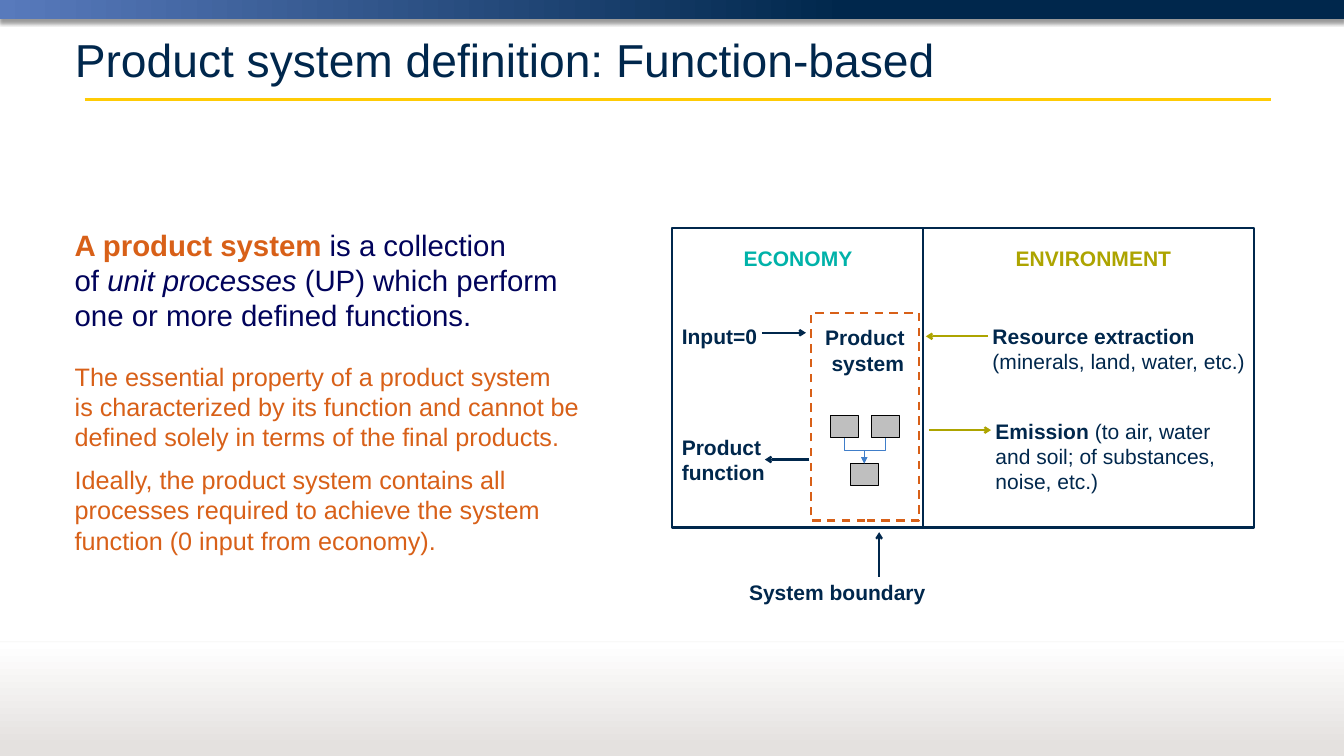
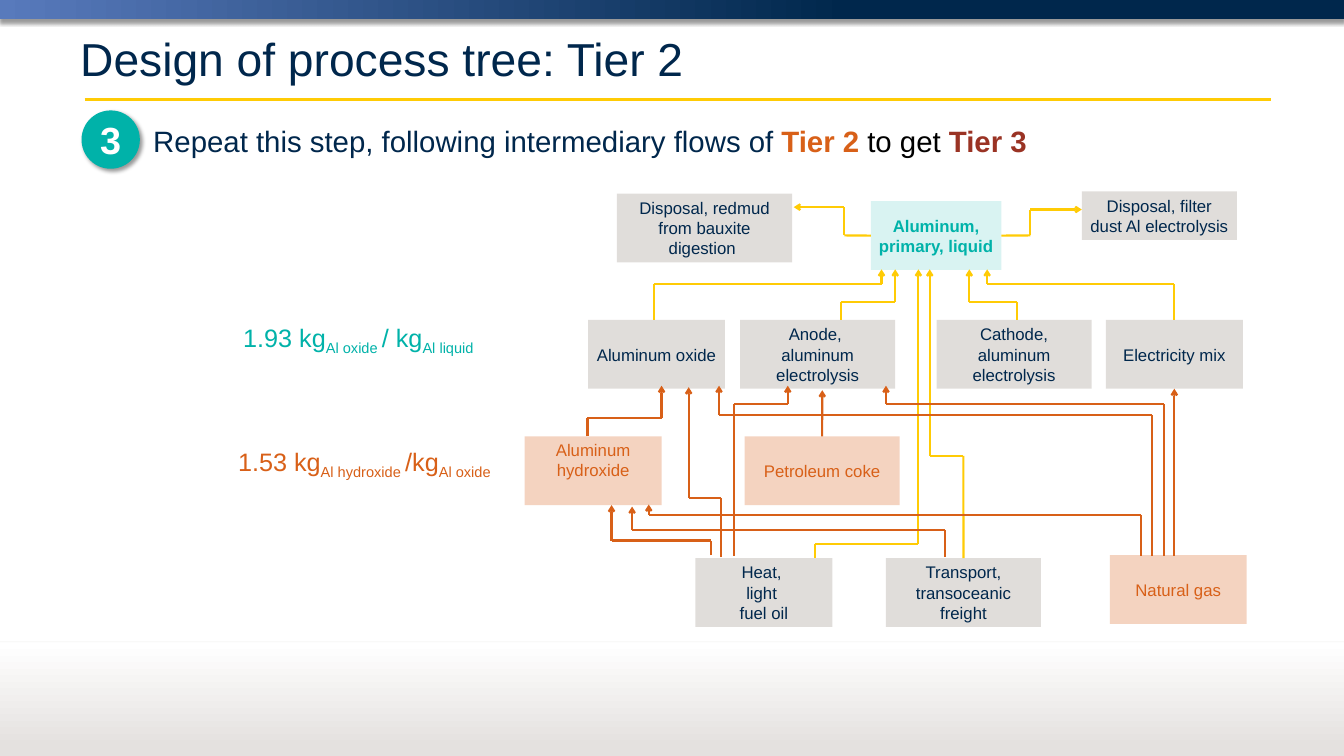
from dataclasses import dataclass
from itertools import pairwise
from typing import NamedTuple

from lxml.etree import SubElement
from pptx import Presentation
from pptx.dml.color import RGBColor
from pptx.enum.dml import MSO_LINE
from pptx.enum.shapes import MSO_CONNECTOR, MSO_SHAPE
from pptx.enum.text import MSO_ANCHOR, MSO_AUTO_SIZE, PP_ALIGN
from pptx.oxml.ns import qn
from pptx.util import Cm, Pt


@dataclass(frozen=True)
class Theme:
    font: str = "Arial"
    navy: str = "00274C"
    indigo: str = "01035B"
    blue: str = "587ABC"
    link_blue: str = "407EC9"
    yellow: str = "FFCB05"
    orange: str = "D86018"
    brick: str = "9A3324"
    teal: str = "00B2A9"
    olive: str = "ADA400"
    stone: str = "B0A8A2"
    pale_stone: str = "E4E1DF"
    gray: str = "BFBFBF"
    black: str = "000000"
    white: str = "FFFFFF"
    title: int = 44
    badge: int = 36
    lead: int = 28
    body: int = 24
    label: int = 20
    node: int = 16


THEME = Theme()
SLIDE_WIDTH, SLIDE_HEIGHT = 45.16, 25.4
TOP, LEFT, BOTTOM, RIGHT = 0, 1, 2, 3


class Box(NamedTuple):
    """A region in centimetres."""
    left: float
    top: float
    width: float
    height: float

    def at(self, x, y):
        return Cm(self.left + x), Cm(self.top + y)

    def area(self, x, y, width, height):
        return Box(self.left + x, self.top + y, width, height)

    def lengths(self):
        return [Cm(value) for value in self]


class Run(NamedTuple):
    text: str
    size: int
    color: str = THEME.navy
    bold: bool = False
    italic: bool = False
    subscript: bool = False


def rgb(color):
    return RGBColor.from_string(color)


def add_alpha(owner, percent):
    """Make the first RGB colour below an XML element translucent."""
    color = next(owner.iter(qn("a:srgbClr")))
    SubElement(color, qn("a:alpha")).set("val", str(percent * 1000))


def add_shadow(effects, alpha, blur, distance, angle):
    shadow = SubElement(effects, qn("a:outerShdw"), blurRad=str(Pt(blur)),
                        dist=str(Pt(distance)), dir=str(angle * 60000), rotWithShape="0")
    SubElement(shadow, qn("a:srgbClr"), val=THEME.black)
    add_alpha(shadow, alpha)


def add_runs(paragraph, runs):
    for run_style in runs:
        for index, line in enumerate(run_style.text.split("\n")):
            if index:
                paragraph.add_line_break()
            if not line:
                continue
            run = paragraph.add_run()
            run.text = line
            font = run.font
            font.name, font.size = THEME.font, Pt(run_style.size)
            font.bold, font.italic = run_style.bold, run_style.italic
            font.color.rgb = rgb(run_style.color)
            if run_style.subscript:
                font._element.set("baseline", "-25000")


def add_text(slide, box, *paragraphs, align=PP_ALIGN.LEFT, wrap=True, space=0):
    frame = slide.shapes.add_textbox(*box.lengths()).text_frame
    frame.word_wrap = wrap
    for index, runs in enumerate(paragraphs):
        paragraph = frame.add_paragraph() if index else frame.paragraphs[0]
        paragraph.alignment = align
        if index:
            paragraph.space_before = Pt(space)
        add_runs(paragraph, runs)


def add_block(slide, box, fill=None, alpha=None, line=None, weight=1, kind=MSO_SHAPE.RECTANGLE):
    shape = slide.shapes.add_shape(kind, *box.lengths())
    shape.shadow.inherit = False
    if fill:
        shape.fill.solid()
        shape.fill.fore_color.rgb = rgb(fill)
        if alpha:
            add_alpha(shape.element.spPr, alpha)
    else:
        shape.fill.background()
    if line:
        shape.line.color.rgb = rgb(line)
        shape.line.width = Pt(weight)
    else:
        shape.line.fill.background()
    return shape


def set_block_text(shape, runs, anchor=MSO_ANCHOR.MIDDLE):
    frame = shape.text_frame
    frame.word_wrap = True
    frame.vertical_anchor = anchor
    frame.paragraphs[0].alignment = PP_ALIGN.CENTER
    add_runs(frame.paragraphs[0], runs)


def add_line(slide, start, end, color, weight=2, head=None, kind=MSO_CONNECTOR.STRAIGHT):
    connector = slide.shapes.add_connector(kind, *start, *end)
    connector.line.color.rgb = rgb(color)
    connector.line.width = Pt(weight)
    if head:
        SubElement(connector.element.spPr.find(qn("a:ln")), qn("a:tailEnd"), type=head)
    SubElement(connector.element.spPr, qn("a:effectLst"))
    return connector


def add_route(slide, box, points, color, begin=None, end=None):
    """Chain straight connectors through the points, with an arrowhead on the last."""
    legs = list(pairwise(box.at(*point) for point in points))
    lines = [add_line(slide, *leg, color, head="arrow" if leg is legs[-1] else None)
             for leg in legs]
    if begin:
        lines[0].begin_connect(*begin)
    if end:
        lines[-1].end_connect(*end)


def add_elbow_down(slide, upper, lower):
    """Join the bottom of one block to the top of another, bending halfway."""
    start = upper.left + upper.width // 2, upper.top + upper.height
    end = lower.left + lower.width // 2, lower.top
    connector = add_line(slide, start, end, THEME.link_blue, 1, "triangle", MSO_CONNECTOR.ELBOW)
    connector.begin_connect(upper, BOTTOM)
    connector.end_connect(lower, TOP)
    across, down = end[0] - start[0], end[1] - start[1]
    connector.left = (start[0] + end[0] - down) // 2
    connector.top = (start[1] + end[1] - abs(across)) // 2
    connector.width, connector.height = down, abs(across)
    transform = connector.element.spPr.find(qn("a:xfrm"))
    transform.set("rot", str((270 if across > 0 else 90) * 60000))
    transform.set("flipH", "1" if across > 0 else "0")


def add_gradient_band(slide, box, stops, angle):
    band = add_block(slide, box, THEME.white)
    band.fill.gradient()
    band.fill.gradient_angle = angle
    for stop, (position, color) in zip(band.fill.gradient_stops, stops):
        stop.position = position
        stop.color.rgb = rgb(color)
    return band


def move_bands_to_layout(slide):
    """Draw the shared bands and rules and place them behind everything on the layout."""
    page = Box(0, 0, SLIDE_WIDTH, SLIDE_HEIGHT)
    header = add_gradient_band(slide, page.area(0, 0, page.width, 0.64),
                               [(0, THEME.blue), (0.63, THEME.navy)], 0)
    add_shadow(header.element.spPr.find(qn("a:effectLst")), 40, 4, 3, 90)
    rule = add_line(slide, page.at(2.84, 3.35), page.at(42.7, 3.35), THEME.yellow, 3)
    footer = add_gradient_band(slide, page.area(0, 21.59, page.width, 3.81),
                               [(0.08, THEME.pale_stone), (1, THEME.white)], 90)
    edge = add_line(slide, page.at(0, 21.56), page.at(page.width, 21.56), THEME.pale_stone, 0.75)
    add_alpha(edge.element.spPr, 30)
    add_shadow(edge.element.spPr.find(qn("a:effectLst")), 38, 3.1, 1.6, 90)
    tree = slide.slide_layout.placeholders[0].element.getparent()
    for index, shape in enumerate([header, rule, footer, edge], start=2):
        tree.insert(index, shape.element)


def set_title(slide, box, text):
    title = slide.shapes.title
    title.left, title.top, title.width, title.height = box.lengths()
    frame = title.text_frame
    frame.auto_size = MSO_AUTO_SIZE.NONE
    frame.vertical_anchor = MSO_ANCHOR.MIDDLE
    frame.paragraphs[0].alignment = PP_ALIGN.LEFT
    add_runs(frame.paragraphs[0], [Run(text, THEME.title)])


def add_definition(slide, box):
    lead, body = THEME.lead, THEME.body
    add_text(slide, box.area(0, 0, box.width, 3.84), [
        Run("A product system ", lead, THEME.orange, bold=True),
        Run("is a collection \nof ", lead, THEME.indigo),
        Run("unit processes ", lead, THEME.indigo, italic=True),
        Run("(UP) which perform \none or more defined functions.", lead, THEME.indigo)])
    add_text(slide, box.area(0, 4.52, box.width, 6.93),
             [Run("The essential property of a product system \nis characterized by its function "
                  "and cannot be \ndefined solely in terms of the final products.",
                  body, THEME.orange)],
             [Run("Ideally, the product system contains all \nprocesses required to achieve the "
                  "system \nfunction (0 input from economy).", body, THEME.orange)], space=12)


def add_system_diagram(slide, box):
    size = THEME.label
    units = [add_block(slide, box.area(x, y, 0.94, 0.74), THEME.gray, line=THEME.black)
             for x, y in [(5.33, 6.3), (6.71, 6.3), (5.99, 7.9)]]
    for unit in units[:2]:
        add_elbow_down(slide, unit, units[2])
    add_block(slide, box, line=THEME.navy, weight=2.25)
    add_line(slide, box.at(8.43, 0), box.at(8.43, box.height), THEME.navy)
    system = add_block(slide, box.area(4.67, 2.84, 3.63, 6.98), line=THEME.orange, weight=2)
    system.line.dash_style = MSO_LINE.DASH

    add_text(slide, box.area(4.88, 3.12, 3.4, 1.96), [Run("Product \nsystem", size, bold=True)],
             align=PP_ALIGN.CENTER, wrap=False)
    for x, width, text, color in [(2.16, 4.19, "ECONOMY", THEME.teal),
                                  (11.3, 5.79, "ENVIRONMENT", THEME.olive)]:
        add_text(slide, box.area(x, 0.46, width, 1.12), [Run(text, size, color, True)], wrap=False)
    for place, strong, plain in [
            ((10.62, 6.25, 7.92, 2.82), "Emission", " (to air, water and soil; of substances, noise, etc.)"),
            ((10.52, 3.07, 9.04, 1.96), "Resource extraction \n", "(minerals, land, water, etc.)"),
            ((0.08, 3.07, 3.2, 1.12), "Input=0", ""),
            ((0.08, 6.81, 3.63, 1.96), "Product\nfunction", ""),
            ((2.34, 11.66, 6.45, 1.12), "System boundary", "")]:
        add_text(slide, box.area(*place), [Run(strong, size, bold=True), Run(plain, size)])
    for start, end, color in [((10.62, 3.63), (8.53, 3.63), THEME.olive),
                              ((8.64, 6.78), (10.72, 6.78), THEME.olive),
                              ((3.02, 3.51), (4.5, 3.51), THEME.navy),
                              ((4.62, 7.77), (3.12, 7.77), THEME.navy),
                              ((6.96, 11.71), (6.96, 10.21), THEME.navy)]:
        add_route(slide, box, [start, end], color)


def add_step_heading(slide, box):
    size = THEME.lead
    add_text(slide, box.area(2.16, 0.3, 35.84, 1.45), [
        Run("Repeat this step, following intermediary flows of ", size),
        Run("Tier 2 ", size, THEME.orange, True), Run("to get ", size, THEME.black),
        Run("Tier 3", size, THEME.brick, True)])
    badge = add_block(slide, box.area(0, 0, 1.96, 1.96), THEME.teal, kind=MSO_SHAPE.OVAL)
    add_shadow(badge.element.spPr.find(qn("a:effectLst")), 40, 4, 3, 45)
    set_block_text(badge, [Run("3", THEME.badge, THEME.white, True)])


def add_flow_ratio(slide, box, color, pieces, align):
    """Write quantities, with every second piece as a subscript."""
    add_text(slide, box, [Run(text, THEME.body, color, subscript=index % 2 == 1)
                          for index, text in enumerate(pieces)], align=align)


def add_process_tree(slide, box):
    narrow, wide, height = 4.6, 5.21, 2.31
    inputs, fuels, lowest = 4.32, 8.23, 12.32
    stone = THEME.stone, 39, THEME.navy
    orange = THEME.orange, 27, THEME.orange
    teal = THEME.teal, 15, THEME.teal
    nodes = {}
    for name, place, (fill, alpha, color), text in [
            ("oxide", (2.13, inputs, narrow, height), stone, "Aluminum oxide"),
            ("anode", (7.24, inputs, wide, height), stone, "Anode, \naluminum electrolysis"),
            ("cathode", (13.84, inputs, wide, height), stone, "Cathode, aluminum electrolysis"),
            ("electricity", (19.53, inputs, narrow, height), stone, "Electricity mix"),
            ("heat", (5.74, lowest, narrow, height), stone, "Heat, \nlight \nfuel oil"),
            ("transport", (12.14, lowest, wide, height), stone, "Transport, transoceanic freight"),
            ("redmud", (3.1, 0.08, 5.89, height), stone, "Disposal, redmud from bauxite digestion "),
            ("filter dust", (18.72, 0, wide, 1.63), stone, "Disposal, filter dust Al electrolysis "),
            ("liquid", (11.63, 0.33, 4.39, height), teal, "Aluminum, primary, liquid"),
            ("hydroxide", (0, fuels, narrow, height), orange, "Aluminum hydroxide"),
            ("coke", (7.39, fuels, wide, height), orange, "Petroleum coke"),
            ("gas", (19.66, 12.22, narrow, height), orange, "Natural gas")]:
        nodes[name] = add_block(slide, box.area(*place), fill, alpha)
        set_block_text(nodes[name], [Run(text, THEME.node, color, name == "liquid")],
                       MSO_ANCHOR.TOP if name == "hydroxide" else MSO_ANCHOR.MIDDLE)

    # Each rise goes up from its start, across at the bend and up to its end.
    yellow_rises = [(21.83, inputs, 3.12, 15.54, "electricity"), (16.54, inputs, 3.73, 14.94, None),
                    (4.34, inputs, 3.12, 11.99, None), (10.64, inputs, 3.73, 12.45, None),
                    (14.74, lowest, 8.89, 13.61, "transport"), (9.75, lowest, 11.84, 13.23, None)]
    for x, y, bend, end_x, source in yellow_rises:
        add_route(slide, box, [(x, y), (x, bend), (end_x, bend), (end_x, 2.62)], THEME.yellow,
                  begin=(nodes[source], TOP) if source else None)
    orange_rises = [(2.11, fuels, 7.62, 4.6, 6.53), (6.27, 12.22, 11.73, 2.92, 10.54),
                    (6.6, 12.29, 10.29, 5.51, 6.58), (7.04, 12.24, 7.14, 8.84, 6.53),
                    (14.12, 12.29, 11.38, 3.61, 10.59), (20.7, 12.24, 10.87, 4.17, 10.52),
                    (21.49, 12.24, 7.14, 12.14, 6.53), (21.08, 12.24, 7.52, 6.53, 6.53)]
    for x, y, bend, end_x, end_y in orange_rises:
        add_route(slide, box, [(x, y), (x, bend), (end_x, bend), (end_x, end_y)], THEME.orange)
    add_route(slide, box, [(10, fuels), (10, 6.68)], THEME.orange, begin=(nodes["coke"], TOP))
    add_route(slide, box, [(21.83, 12.24), (21.83, 6.63)], THEME.orange,
              end=(nodes["electricity"], BOTTOM))
    for x, turn, end_x, end_y, side in [(16.02, 16.99, 18.72, 0.61, RIGHT),
                                        (11.63, 10.74, 9.04, 0.53, LEFT)]:
        add_route(slide, box, [(x, 1.48), (turn, 1.48), (turn, end_y), (end_x, end_y)],
                  THEME.yellow, begin=(nodes["liquid"], side))


def main():
    presentation = Presentation()
    presentation.slide_width, presentation.slide_height = Cm(SLIDE_WIDTH), Cm(SLIDE_HEIGHT)
    title_only = presentation.slide_layouts[5]

    slide = presentation.slides.add_slide(title_only)
    move_bands_to_layout(slide)
    set_title(slide, Box(2.26, 0.79, 40.64, 2.41), "Product system definition: Function-based")
    add_definition(slide, Box(2.26, 7.49, 17.78, 11.45))
    add_system_diagram(slide, Box(22.58, 7.67, 19.56, 10.06))

    slide = presentation.slides.add_slide(title_only)
    set_title(slide, Box(2.44, 0.76, 40.64, 2.41), "Design of process tree: Tier 2")
    add_step_heading(slide, Box(2.74, 3.71, 38, 1.96))
    add_flow_ratio(slide, Box(7.32, 10.69, 9.45, 1.27), THEME.teal,
                   ["1.93 kg", "Al oxide ", "/ kg", "Al liquid"], PP_ALIGN.CENTER)
    add_flow_ratio(slide, Box(7.75, 14.86, 9.78, 1.27), THEME.orange,
                   ["1.53 kg", "Al hydroxide ", "/kg", "Al oxide"], PP_ALIGN.LEFT)
    add_process_tree(slide, Box(17.63, 6.43, 24.26, 14.63))
    presentation.save("out.pptx")


if __name__ == "__main__":
    main()
